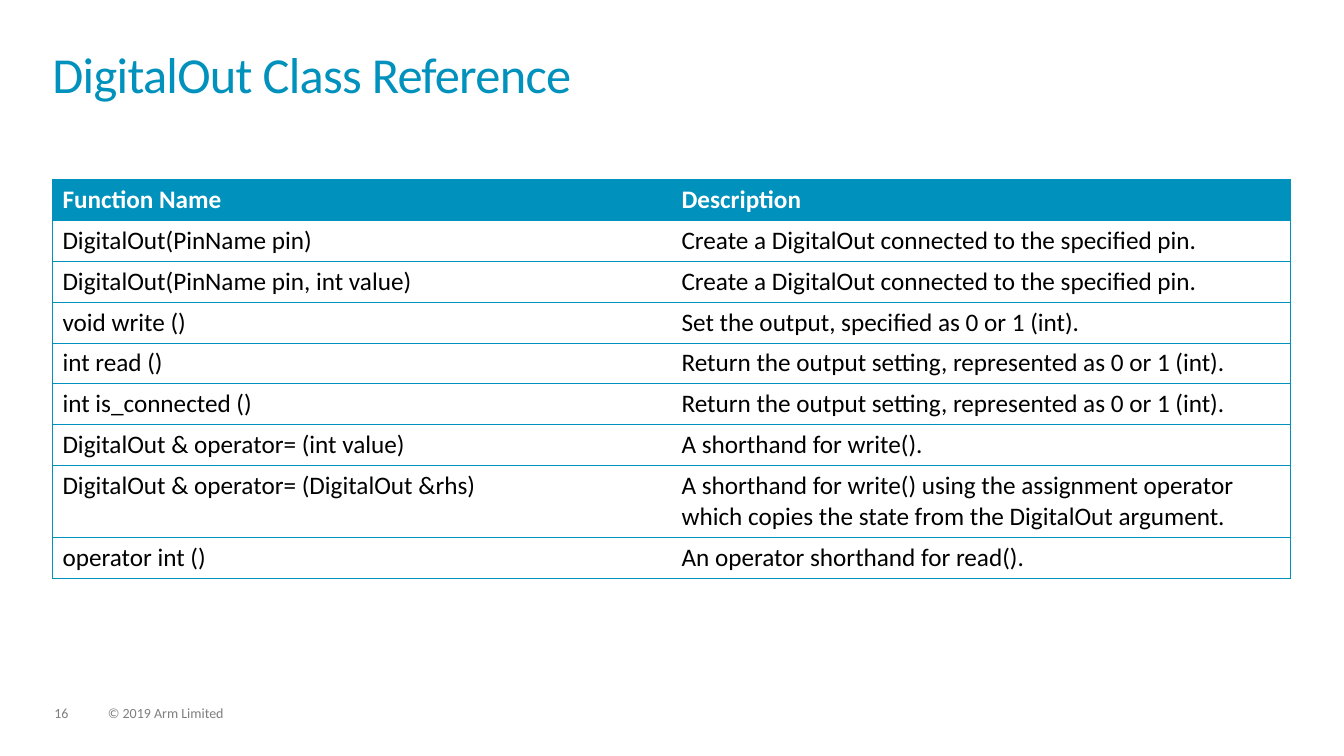
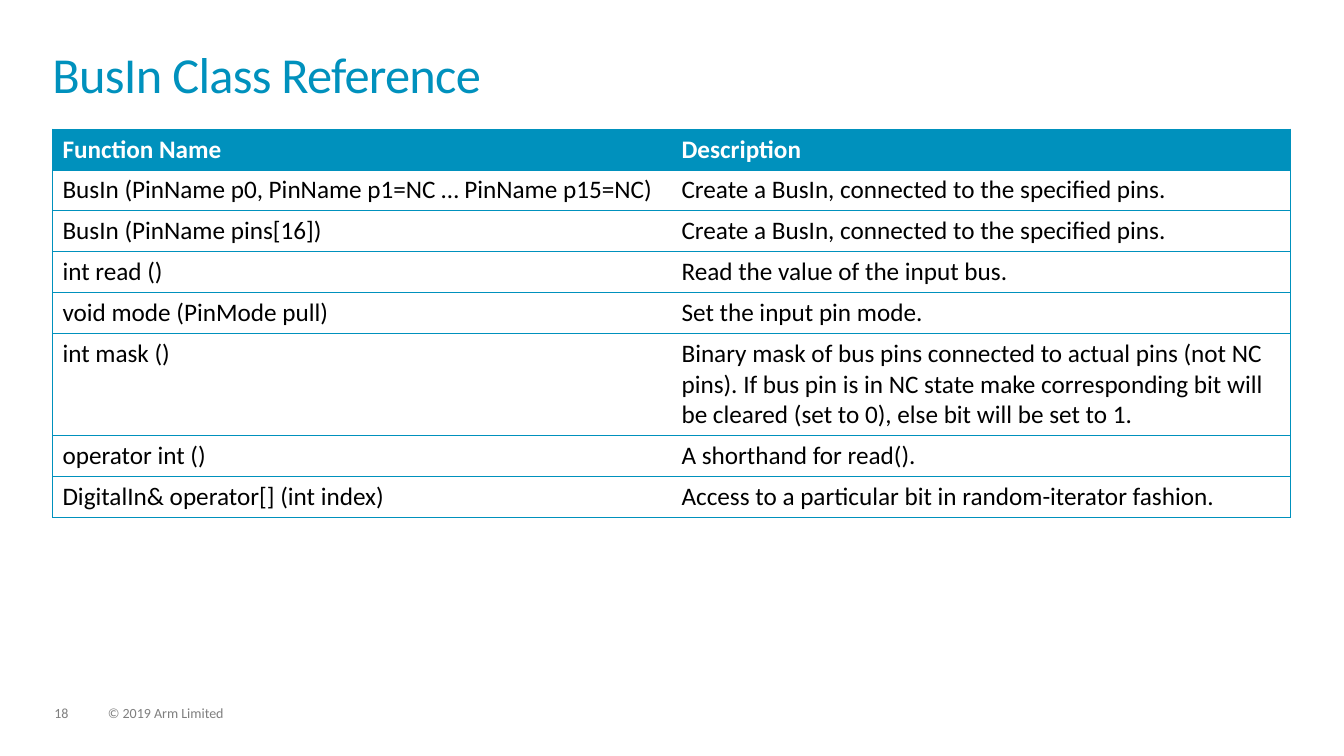
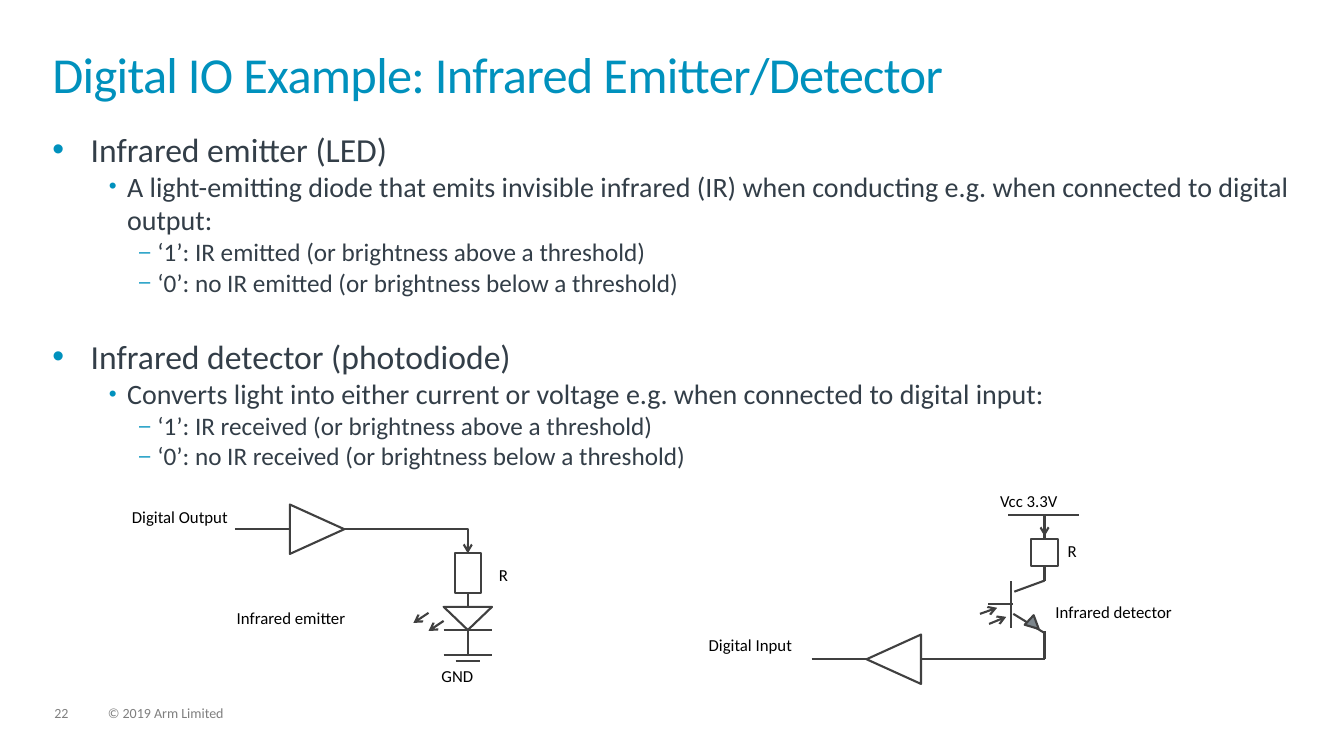
from dataclasses import dataclass

from lxml import etree
from pptx import Presentation
from pptx.dml.color import RGBColor
from pptx.enum.shapes import MSO_CONNECTOR, MSO_SHAPE
from pptx.enum.text import MSO_ANCHOR, MSO_AUTO_SIZE, PP_ALIGN
from pptx.oxml.ns import qn
from pptx.util import Emu, Pt

STRAIGHT, ELBOW = MSO_CONNECTOR.STRAIGHT, MSO_CONNECTOR.ELBOW
TRIANGLE, RECT = MSO_SHAPE.ISOSCELES_TRIANGLE, MSO_SHAPE.RECTANGLE
TOP, LEFT, FIXED = MSO_ANCHOR.TOP, PP_ALIGN.LEFT, MSO_AUTO_SIZE.NONE
TITLE_AND_BODY, TITLE_ONLY = 1, 5
SIDE_TOP, SIDE_BOTTOM = 0, 2


@dataclass(frozen=True)
class Theme:
    font: str = "Calibri"
    accent: str = "0091BD"
    body: str = "333E48"
    text: str = "000000"
    white: str = "FFFFFF"
    footer: str = "7F7F7F"
    ink: str = "404040"
    junction: str = "7D868C"
    title_size: int = 36
    level_sizes: tuple = (24, 20, 18)
    table_size: int = 18
    label_size: int = 12
    footer_size: int = 10
    wire: float = 1.5
    border: float = 0.5


T = Theme()
COPYRIGHT = "© 2019 Arm Limited"
TITLE_BOX = (52, 52, 1228, 72)
BODY_BOX = (52, 128, 1228, 541)
LEVELS = (("•", 38, -38, 100), ("•", 74, -18, 80), ("–", 104, -18, 80))


def px(n):
    return Emu(n * 9144)


def box(*lengths):
    return [px(n) for n in lengths]


def rgb(color):
    return RGBColor.from_string(color)


def sub(parent, tag, **attrs):
    return etree.SubElement(parent, qn(tag), attrs)


def add_run(p, text, size, color, bold=False):
    r = p.add_run()
    r.text = text
    f = r.font
    f.name, f.size, f.bold = T.font, Pt(size), bold
    f.color.rgb = rgb(color)
    return r


def plain_frame(tf):
    tf.word_wrap = True
    tf.auto_size = FIXED
    tf.vertical_anchor = TOP
    tf.margin_left = tf.margin_top = tf.margin_right = tf.margin_bottom = 0
    return tf


def place(shape, area):
    shape.left, shape.top, shape.width, shape.height = box(*area)


def add_footer(s, x, y, number):
    for dx, w, text in ((0, 34, str(number)), (53, 507, COPYRIGHT)):
        tf = plain_frame(s.shapes.add_textbox(*box(x + dx, y, w, 15)).text_frame)
        p = tf.paragraphs[0]
        p.line_spacing = 0.9
        add_run(p, text, T.footer_size, T.footer)


def add_slide(prs, layout, title, number):
    s = prs.slides.add_slide(prs.slide_layouts[layout])
    add_footer(s, 54, 701, number)
    place(s.shapes.title, TITLE_BOX)
    p = plain_frame(s.shapes.title.text_frame).paragraphs[0]
    p.alignment, p.line_spacing = LEFT, 0.85
    r = add_run(p, title, T.title_size, T.accent)
    r._r.get_or_add_rPr().set("spc", "-50")
    return s


def set_borders(cell, sides):
    tcPr = cell._tc.get_or_add_tcPr()
    for side in "LRTB":
        ln = sub(tcPr, "a:ln" + side, w=str(Pt(T.border)))
        if side in sides:
            sub(sub(ln, "a:solidFill"), "a:srgbClr", val=T.accent)
        else:
            sub(ln, "a:noFill")


def add_reference_table(s, x, y, w, functions):
    rows = [("Function Name", "Description")] + functions
    row_h = 40
    frame = s.shapes.add_table(len(rows), 2, *box(x, y, w, row_h * len(rows)))
    table = frame.table
    table.horz_banding = False
    for i, row in enumerate(rows):
        table.rows[i].height = px(row_h)
        for j, text in enumerate(row):
            cell = table.cell(i, j)
            set_borders(cell, "TB" + "LR"[j])
            if i == 0:
                cell.fill.solid()
                cell.fill.fore_color.rgb = rgb(T.accent)
            else:
                cell.fill.background()
            add_run(cell.text_frame.paragraphs[0], text, T.table_size,
                    T.text if i else T.white, bold=i == 0)


def set_bullet(p, level):
    char, margin, indent, size = LEVELS[level]
    p.level = level
    pPr = p._p.get_or_add_pPr()
    pPr.set("marL", str(px(margin)))
    pPr.set("indent", str(px(indent)))
    sub(sub(pPr, "a:buClr"), "a:srgbClr", val=T.accent)
    sub(pPr, "a:buSzPct", val=str(size * 1000))
    sub(pPr, "a:buFont", typeface="Arial")
    sub(pPr, "a:buChar", char=char)


def add_bullets(s, area, items):
    body = s.placeholders[1]
    place(body, area)
    tf = plain_frame(body.text_frame)
    for i, (level, text) in enumerate(items):
        p = tf.add_paragraph() if i else tf.paragraphs[0]
        set_bullet(p, level)
        p.space_before = Pt(28 if i and level == 0 else 0)
        add_run(p, text, T.level_sizes[level], T.body)


class Circuit:
    def __init__(self, s, x, y):
        self.shapes, self.x, self.y = s.shapes, x, y

    def symbol(self, kind, x, y, w, h, rotation=0, fill=None):
        sp = self.shapes.add_shape(kind, *box(self.x + x, self.y + y, w, h))
        sp.shadow.inherit = False
        sp.rotation = rotation
        if fill:
            sp.fill.solid()
            sp.fill.fore_color.rgb = rgb(fill)
        else:
            sp.fill.background()
        sp.line.color.rgb = rgb(T.ink)
        sp.line.width = Pt(T.wire)
        return sp

    def wire(self, x1, y1, x2, y2, arrow=False, kind=STRAIGHT):
        c = self.shapes.add_connector(kind, *box(self.x + x1, self.y + y1,
                                                 self.x + x2, self.y + y2))
        c.line.color.rgb = rgb(T.ink)
        c.line.width = Pt(T.wire)
        spPr = c._element.spPr
        if arrow:
            sub(spPr.find(qn("a:ln")), "a:tailEnd", type="arrow")
        sub(spPr, "a:effectLst")
        return c

    def corner(self, *ends):
        c = self.wire(*ends, kind=ELBOW)
        c._element.spPr.find(qn("a:prstGeom")).set("prst", "bentConnector2")

    def wires(self, *lines, arrow=False):
        for line in lines:
            self.wire(*line, arrow=arrow)

    def labels(self, *labels):
        for text, x, y, w in labels:
            tb = self.shapes.add_textbox(*box(self.x + x, self.y + y, w, 30))
            tb.text_frame.word_wrap = False
            add_run(tb.text_frame.paragraphs[0], text, T.label_size, T.text)


def add_emitter(s, x, y):
    c = Circuit(s, x, y)
    mid = 343
    c.symbol(TRIANGLE, 169, 0, 49, 54, 90)
    resistor = c.symbol(RECT, mid - 13, 51, 26, 39)
    c.symbol(TRIANGLE, mid - 24, 104, 48, 23, 180)
    c.corner(220, 27, mid, 51)
    c.wire(mid, 30, mid, 51, arrow=True).end_connect(resistor, SIDE_TOP)
    c.wire(mid, 90, mid, 104).begin_connect(resistor, SIDE_BOTTOM)
    c.wires((112, 27, 167, 27), (mid, 128, mid, 152))
    for half, level in ((24, 127), (24, 152), (12, 158)):
        c.wire(mid - half, level, mid + half, level)
    c.wires((304, 110, 289, 120), (319, 118, 304, 128), arrow=True)
    c.labels(("Digital Output", 0, 0, 122), ("R", 364, 57, 32),
             ("Infrared emitter", 104, 100, 134), ("GND", 307, 158, 58))


def add_detector(s, x, y):
    c = Circuit(s, x, y)
    mid = 343
    c.symbol(TRIANGLE, 169, 145, 49, 54, 270)
    c.wires((112, 172, 167, 172), (221, 172, mid, 172), (mid, 172, mid, 144),
            (307, 29, 377, 29), (mid, 39, mid, 94),
            (310, 141, 310, 94), (287, 117, 312, 117),
            (313, 105, mid, 94), (312, 127, mid, 146))
    c.wires((mid, 29, mid, 50), (288, 137, 305, 130), (279, 127, 296, 121),
            arrow=True)
    c.symbol(TRIANGLE, 326, 131, 13, 13, 133.1, T.junction)
    c.symbol(RECT, mid - 13, 53, 26, 27, fill=T.white)
    c.labels(("Vcc 3.3V", 289, 0, 88), ("R", 356, 50, 32),
             ("Infrared detector", 344, 110, 143), ("Digital Input", 0, 143, 109))


DIGITAL_OUT = [
    ("DigitalOut(PinName pin)", "Create a DigitalOut connected to the specified pin."),
    ("DigitalOut(PinName pin, int value)",
     "Create a DigitalOut connected to the specified pin."),
    ("void write ()", "Set the output, specified as 0 or 1 (int)."),
    ("int read ()", "Return the output setting, represented as 0 or 1 (int)."),
    ("int is_connected ()", "Return the output setting, represented as 0 or 1 (int)."),
    ("DigitalOut & operator= (int value)", "A shorthand for write()."),
    ("DigitalOut & operator= (DigitalOut &rhs)",
     "A shorthand for write() using the assignment operator which copies the state "
     "from the DigitalOut argument."),
    ("operator int ()", "An operator shorthand for read()."),
]
BUS_IN = [
    ("BusIn (PinName p0, PinName p1=NC … PinName p15=NC)",
     "Create a BusIn, connected to the specified pins."),
    ("BusIn (PinName pins[16])", "Create a BusIn, connected to the specified pins."),
    ("int read ()", "Read the value of the input bus."),
    ("void mode (PinMode pull)", "Set the input pin mode."),
    ("int mask ()",
     "Binary mask of bus pins connected to actual pins (not NC pins). If bus pin is in "
     "NC state make corresponding bit will be cleared (set to 0), else bit will be set "
     "to 1."),
    ("operator int ()", "A shorthand for read()."),
    ("DigitalIn& operator[] (int index)",
     "Access to a particular bit in random-iterator fashion."),
]
INFRARED = [
    (0, "Infrared emitter (LED)"),
    (1, "A light-emitting diode that emits invisible infrared (IR) when conducting e.g. "
        "when connected to digital output:"),
    (2, "‘1’: IR emitted (or brightness above a threshold)"),
    (2, "‘0’: no IR emitted (or brightness below a threshold)"),
    (0, "Infrared detector (photodiode)"),
    (1, "Converts light into either current or voltage e.g. when connected to digital "
        "input:"),
    (2, "‘1’: IR received (or brightness above a threshold)"),
    (2, "‘0’: no IR received (or brightness below a threshold)"),
]


def reference_slide(prs, title, number, y, functions):
    s = add_slide(prs, TITLE_ONLY, title, number)
    add_reference_table(s, 52, y, 1228, functions)


def infrared_slide(prs):
    s = add_slide(prs, TITLE_AND_BODY,
                  "Digital IO Example: Infrared Emitter/Detector", 22)
    add_bullets(s, BODY_BOX, INFRARED)
    add_emitter(s, 121, 498)
    add_detector(s, 693, 482)


def main():
    prs = Presentation()
    prs.slide_width, prs.slide_height = box(1333, 750)
    reference_slide(prs, "DigitalOut Class Reference", 16, 178, DIGITAL_OUT)
    reference_slide(prs, "BusIn Class Reference", 18, 128, BUS_IN)
    infrared_slide(prs)
    prs.save("out.pptx")


if __name__ == "__main__":
    main()
